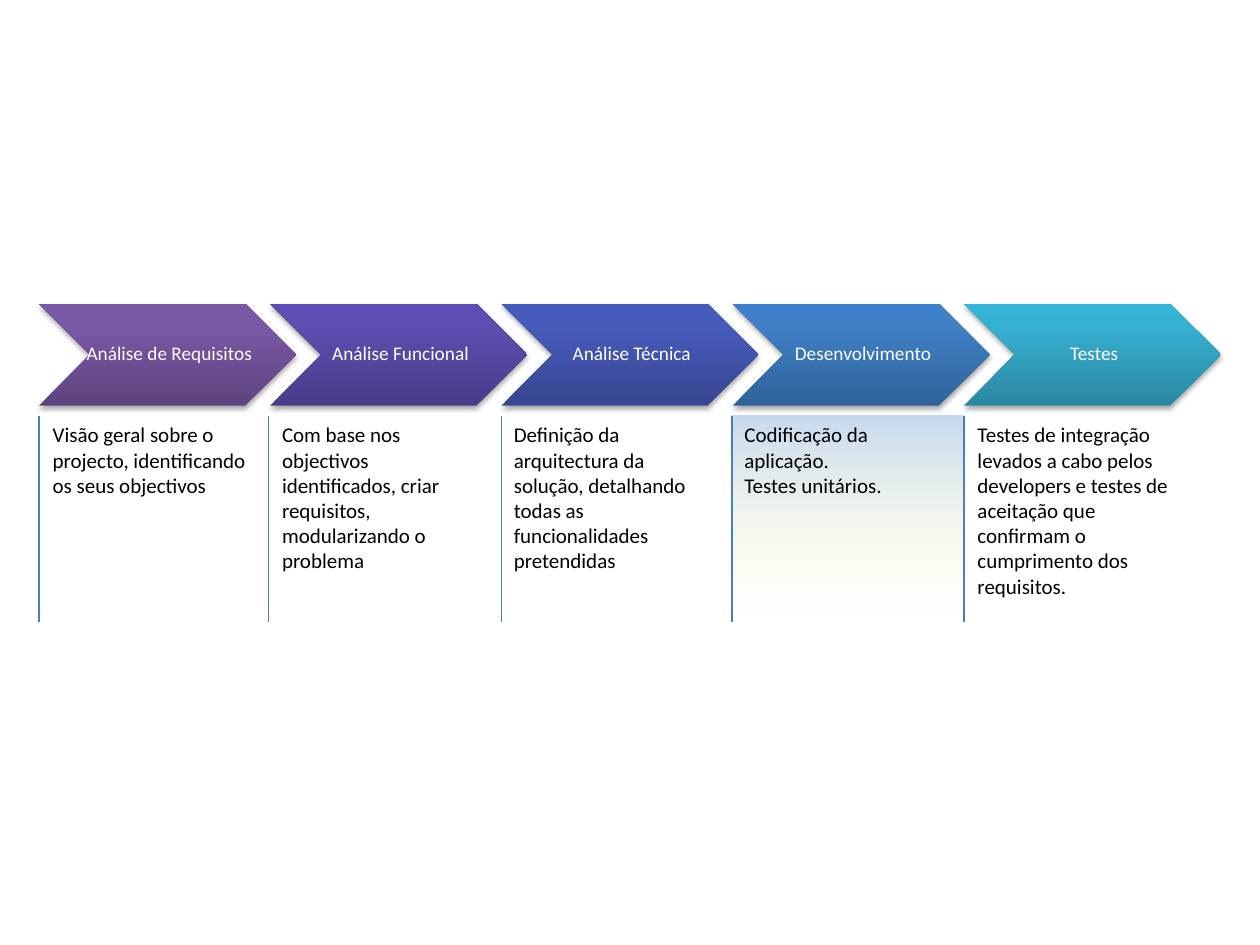
import lxml.etree
import pptx
import pptx.dml.color
import pptx.enum.shapes
import pptx.enum.text
import pptx.oxml.ns
import pptx.util

Inches = pptx.util.Inches
Pt = pptx.util.Pt
RGBColor = pptx.dml.color.RGBColor
SHAPE = pptx.enum.shapes.MSO_SHAPE
ALIGN = pptx.enum.text.PP_ALIGN
ANCHOR = pptx.enum.text.MSO_ANCHOR
qn = pptx.oxml.ns.qn

WHITE = RGBColor(0xFF, 0xFF, 0xFF)
BLACK = RGBColor(0x00, 0x00, 0x00)
DIVIDER_BLUE = RGBColor(0x4B, 0x7E, 0xBC)
PALE_YELLOW = RGBColor(0xFF, 0xFF, 0xCC)
PALE_BLUE = RGBColor(0xC6, 0xD9, 0xF1)

STEP_LEFT, STEP_PITCH = 0.31, 1.835
STEP_TOP, STEP_WIDTH, STEP_HEIGHT = 2.41, 2.04, 0.81
DETAIL_TOP, DETAIL_WIDTH, DETAIL_HEIGHT = 3.3, 1.8, 1.51
DIVIDER_BOTTOM = 4.94
HIGHLIGHT = (5.81, DETAIL_TOP, 1.84, 1.65)

# Name, gradient colours from bottom to top, divider and detail left, detail lines
STEPS = [
    ("Análise de Requisitos", ("5F4480", "7B58A6", "7C57A8"), 0.31, 0.32,
     ["Visão geral sobre o projecto, identificando os seus objectivos"]),
    ("Análise Funcional", ("483D89", "5D4FB1", "5C4EB4"), 2.13, 2.14,
     ["Com base nos objectivos identificados, criar requisitos, "
      "modularizando o problema"]),
    ("Análise Técnica", ("374691", "475BBC", "455ABF"), 3.98, 3.98,
     ["Definição da arquitectura da solução, detalhando todas as "
      "funcionalidades pretendidas"]),
    ("Desenvolvimento", ("306399", "3F80C7", "3C80CB"), 5.81, 5.81,
     ["Codificação da aplicação.", "Testes unitários."]),
    ("Testes", ("2A88A2", "37B1D2", "34B4D6"), 7.65, 7.66,
     ["Testes de integração levados a cabo pelos developers e testes de "
      "aceitação que confirmam o cumprimento dos requisitos."]),
]


def assign(target, values):
    """Set each named attribute of the target."""
    for name, value in values.items():
        setattr(target, name, value)


def add_element(parent, tag, **attributes):
    """Append a drawing element to the parent."""
    texts = {name: str(value) for name, value in attributes.items()}
    return lxml.etree.SubElement(parent, qn(tag), texts)


class ProcessPage:
    """Draws the elements of one process page in a common style."""

    font = "Calibri"

    def __init__(self, page):
        self.page = page

    def fill_text(self, frame, lines, size, color, **layout):
        """Fill a text frame with one paragraph per line."""
        for index, line in enumerate(lines):
            para = frame.paragraphs[0] if index == 0 else frame.add_paragraph()
            assign(para, layout)
            span = para.add_run()
            span.text = line
            assign(span.font, {"name": self.font, "size": Pt(size)})
            span.font.color.rgb = color

    def gradient_shape(self, kind, place, stops):
        """Add a borderless shape with (percent, colour, opacity) stops, bottom to top."""
        shape = self.page.shapes.add_shape(kind, *map(Inches, place))
        shape.shadow.inherit = False
        shape.line.fill.background()
        shape.fill.gradient()
        shape.fill.gradient_angle = 90
        stop_list = shape.element.spPr.find(".//" + qn("a:gsLst"))
        for stop in list(stop_list):
            stop_list.remove(stop)
        for percent, color, opacity in stops:
            stop = add_element(stop_list, "a:gs", pos=percent * 1000)
            tint = add_element(stop, "a:srgbClr", val=color)
            if opacity < 100:
                add_element(tint, "a:alpha", val=opacity * 1000)
        return shape

    def chevron(self, left, name, colors):
        """Add a shadowed chevron that names a step."""
        place = (left, STEP_TOP, STEP_WIDTH, STEP_HEIGHT)
        stops = [(percent, color, 100) for percent, color in zip((0, 80, 100), colors)]
        shape = self.gradient_shape(SHAPE.CHEVRON, place, stops)
        effects = shape.element.spPr.find(qn("a:effectLst"))
        shadow = add_element(effects, "a:outerShdw", blurRad=int(Pt(3.1)),
                             dist=int(Pt(1.8)), dir=5400000, rotWithShape=0)
        tint = add_element(shadow, "a:srgbClr", val=BLACK)
        add_element(tint, "a:alpha", val=35000)
        inset = Inches(0.02)
        assign(shape.text_frame, {
            "word_wrap": False, "vertical_anchor": ANCHOR.MIDDLE,
            "margin_left": Inches(0.05), "margin_right": inset,
            "margin_top": inset, "margin_bottom": inset})
        self.fill_text(shape.text_frame, [name], 11, WHITE,
                       alignment=ALIGN.CENTER, line_spacing=0.9)

    def detail(self, left, lines):
        """Add the text that explains a step."""
        place = (left, DETAIL_TOP, DETAIL_WIDTH, DETAIL_HEIGHT)
        box = self.page.shapes.add_textbox(*map(Inches, place))
        box.text_frame.word_wrap = True
        self.fill_text(box.text_frame, lines, 12, BLACK)

    def divider(self, left):
        """Add the vertical line at the left of a detail text."""
        ends = (left, DETAIL_TOP, left, DIVIDER_BOTTOM)
        line = self.page.shapes.add_connector(
            pptx.enum.shapes.MSO_CONNECTOR.STRAIGHT, *map(Inches, ends))
        line.line.color.rgb = DIVIDER_BLUE
        line.line.width = Pt(0.75)
        add_element(line.element.spPr, "a:effectLst")


def main():
    """Build and save the presentation."""
    deck = pptx.Presentation()
    assign(deck, {"slide_width": Inches(10), "slide_height": Inches(7.5)})
    process = ProcessPage(deck.slides.add_slide(deck.slide_layouts[6]))
    process.gradient_shape(SHAPE.RECTANGLE, HIGHLIGHT,
                           [(5, PALE_YELLOW, 0), (100, PALE_BLUE, 100)])
    for index, (name, colors, divider_left, detail_left, lines) in enumerate(STEPS):
        process.chevron(STEP_LEFT + index * STEP_PITCH, name, colors)
        process.detail(detail_left, lines)
        process.divider(divider_left)
    deck.save("out.pptx")


main()
